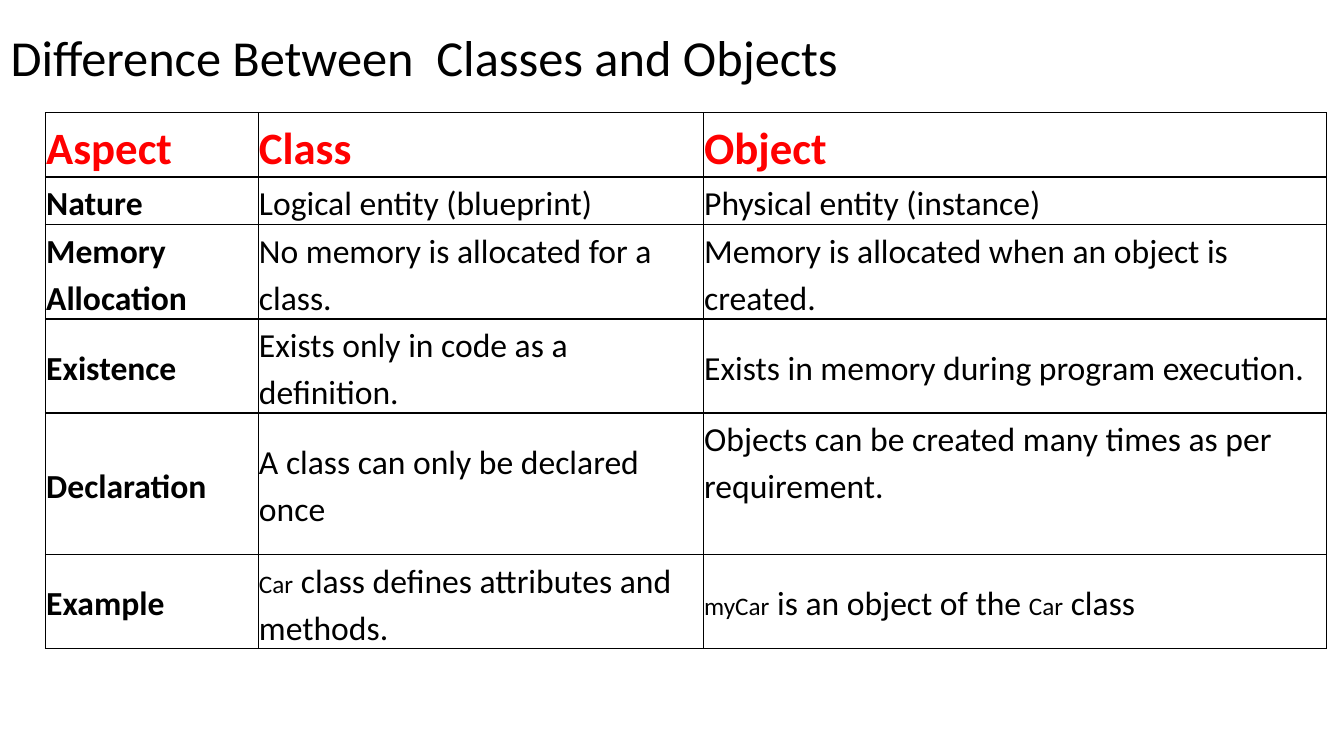
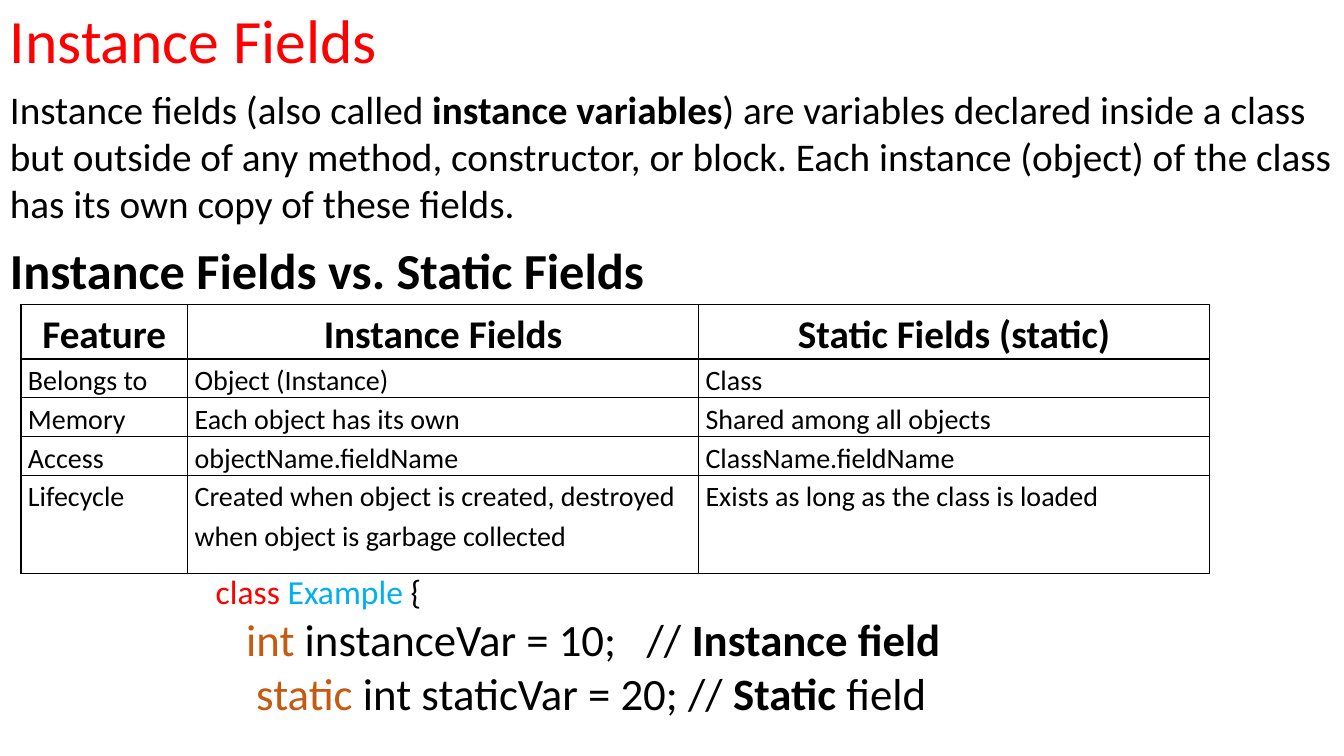
from dataclasses import dataclass
from typing import NamedTuple, Optional, Sequence, Union

import lxml.etree
import pptx
import pptx.dml.color
import pptx.enum.text
import pptx.oxml.ns
import pptx.util

Pt = pptx.util.Pt
Align = pptx.enum.text.PP_ALIGN
Anchor = pptx.enum.text.MSO_ANCHOR
AutoSize = pptx.enum.text.MSO_AUTO_SIZE


@dataclass(frozen=True)
class Theme:
    font: str = "Calibri"
    black: str = "000000"
    red: str = "FF0000"
    blue: str = "00B0F0"
    orange: str = "C55A11"
    title: int = 44
    heading: int = 36
    large: int = 32
    medium: int = 28
    body: int = 24
    small: int = 20
    inline_code: int = 18
    table_spacing: float = 1.15
    border: float = 1


THEME = Theme()


class Span(NamedTuple):
    """A run; unset fields take the format of the whole text."""
    text: str
    size: Optional[float] = None
    color: Optional[str] = None
    bold: Optional[bool] = None


class Box(NamedTuple):
    left: float
    top: float
    width: float
    height: float


class Insets(NamedTuple):
    left: float
    top: float
    right: float
    bottom: float


Line = Sequence[Span]
Text = Union[str, Sequence[Line]]


@dataclass(frozen=True)
class TableStyle:
    header_size: int
    header_color: str
    header_align: Align
    body_size: int
    bold_first_column: bool
    anchor: Anchor
    insets: Insets


@dataclass(frozen=True)
class TableContent:
    left: float
    top: float
    columns: Sequence[float]
    heights: Sequence[float]
    rows: Sequence[Sequence[Text]]
    style: TableStyle


# Text
def write_text(frame, text: Text, *, size: float, color: str = THEME.black,
               bold: bool = False, align: Align = Align.LEFT,
               spacing: float = 1.0) -> None:
    lines = [[Span(text)]] if isinstance(text, str) else text
    for index, line in enumerate(lines):
        paragraph = frame.paragraphs[0] if index == 0 else frame.add_paragraph()
        paragraph.alignment = align
        paragraph.line_spacing = spacing
        for span in line:
            run = paragraph.add_run()
            run.text = span.text
            run.font.name = THEME.font
            run.font.size = Pt(span.size or size)
            run.font.bold = bold if span.bold is None else span.bold
            run.font.color.rgb = pptx.dml.color.RGBColor.from_string(span.color or color)


def add_text(slide, box: Box, text: Text, *, wrap: bool = True, **text_format) -> None:
    shape = slide.shapes.add_textbox(*map(Pt, box))
    frame = shape.text_frame
    frame.word_wrap = wrap
    frame.auto_size = AutoSize.SHAPE_TO_FIT_TEXT
    write_text(frame, text, **text_format)


# Tables
def add_borders(cell) -> None:
    properties = cell._tc.get_or_add_tcPr()
    name = pptx.oxml.ns.qn
    for side in ("a:lnL", "a:lnR", "a:lnT", "a:lnB"):
        line = lxml.etree.SubElement(properties, name(side), w=str(Pt(THEME.border)))
        fill = lxml.etree.SubElement(line, name("a:solidFill"))
        lxml.etree.SubElement(fill, name("a:srgbClr"), val=THEME.black)


def set_insets(cell, insets: Insets) -> None:
    cell.margin_left, cell.margin_top, cell.margin_right, cell.margin_bottom = map(Pt, insets)


def add_table(slide, content: TableContent):
    style = content.style
    table = slide.shapes.add_table(
        len(content.rows), len(content.columns), Pt(content.left), Pt(content.top),
        Pt(sum(content.columns)), Pt(sum(content.heights))).table
    table.first_row = table.horz_banding = False
    for column, width in zip(table.columns, content.columns):
        column.width = Pt(width)
    for row_index, (row, height) in enumerate(zip(content.rows, content.heights)):
        table.rows[row_index].height = Pt(height)
        header = row_index == 0
        for column_index, text in enumerate(row):
            cell = table.cell(row_index, column_index)
            add_borders(cell)
            cell.fill.background()
            cell.vertical_anchor = style.anchor
            set_insets(cell, style.insets)
            write_text(
                cell.text_frame, text,
                size=style.header_size if header else style.body_size,
                color=style.header_color if header else THEME.black,
                bold=header or (style.bold_first_column and column_index == 0),
                align=style.header_align if header else Align.LEFT,
                spacing=THEME.table_spacing)
    return table


# Content
CLASS_AND_OBJECT = TableContent(
    left=32.5, top=80.5, columns=(152, 318, 445), heights=(46, 34, 67, 67, 101, 67),
    rows=(
        ("Aspect", "Class", "Object"),
        ("Nature", "Logical entity (blueprint)", "Physical entity (instance)"),
        ("Memory Allocation", "No memory is allocated for a class.",
         "Memory is allocated when an object is created."),
        ("Existence", "Exists only in code as a definition.",
         "Exists in memory during program execution."),
        ("Declaration", "A class can only be declared once",
         "Objects can be created many times as per requirement."),
        ("Example",
         [[Span("Car", THEME.inline_code), Span(" class defines attributes and methods.")]],
         [[Span("myCar", THEME.inline_code), Span(" is an object of the "),
           Span("Car", THEME.inline_code), Span(" class")]]),
    ),
    style=TableStyle(THEME.large, THEME.red, Align.LEFT, THEME.body, True,
                     Anchor.MIDDLE, Insets(0.5, 0.5, 0.5, 0.5)))

INSTANCE_AND_STATIC = TableContent(
    left=15, top=217.5, columns=(119, 365, 365), heights=(39, 27.5, 27.5, 27.5, 70.5),
    rows=(
        ("Feature", "Instance Fields", "Static Fields (static)"),
        ("Belongs to", "Object (Instance)", "Class"),
        ("Memory", "Each object has its own", "Shared among all objects"),
        ("Access", "objectName.fieldName", "ClassName.fieldName"),
        ("Lifecycle",
         "Created when object is created, destroyed when object is garbage collected",
         "Exists as long as the class is loaded"),
    ),
    style=TableStyle(THEME.medium, THEME.black, Align.CENTER, THEME.small, False,
                     Anchor.TOP, Insets(5, 0, 5, 0)))

DEFINITION = [[
    Span("Instance fields (also called "),
    Span("instance variables", bold=True),
    Span(") are variables declared inside a class but outside of any method, constructor, "
         "or block. Each instance (object) of the class has its own copy of these fields."),
]]

CODE = [
    [Span("class ", THEME.body, THEME.red), Span("Example", THEME.body, THEME.blue),
     Span(" {", THEME.body)],
    [Span("    ", THEME.body), Span("int ", color=THEME.orange),
     Span("instanceVar = 10;   // "), Span("Instance field", bold=True)],
    [Span("    static ", color=THEME.orange), Span("int staticVar = 20; // "),
     Span("Static", bold=True), Span(" field")],
]


# Slides
def build_class_slide(slide) -> None:
    add_text(slide, Box(0.5, 15, 750, 51), "Difference Between  Classes and Objects",
             size=THEME.heading)
    table = add_table(slide, CLASS_AND_OBJECT)
    # Keep one line free below the declaration of objects
    set_insets(table.cell(4, 2), CLASS_AND_OBJECT.style.insets._replace(bottom=33))


def build_field_slide(slide) -> None:
    add_text(slide, Box(0, -2, 282, 60), "Instance Fields", size=THEME.title, color=THEME.red)
    add_text(slide, Box(0, 57.5, 960, 109), DEFINITION, size=THEME.medium)
    add_text(slide, Box(0, 167, 473, 51), "Instance Fields vs. Static Fields",
             size=THEME.heading, bold=True, wrap=False)
    add_table(slide, INSTANCE_AND_STATIC)
    add_text(slide, Box(147, 404.5, 747, 114), CODE, size=THEME.large)


def main() -> None:
    presentation = pptx.Presentation()
    presentation.slide_width, presentation.slide_height = Pt(960), Pt(540)
    blank_layout = presentation.slide_layouts[6]
    for build in (build_class_slide, build_field_slide):
        build(presentation.slides.add_slide(blank_layout))
    presentation.save("out.pptx")


if __name__ == "__main__":
    main()
